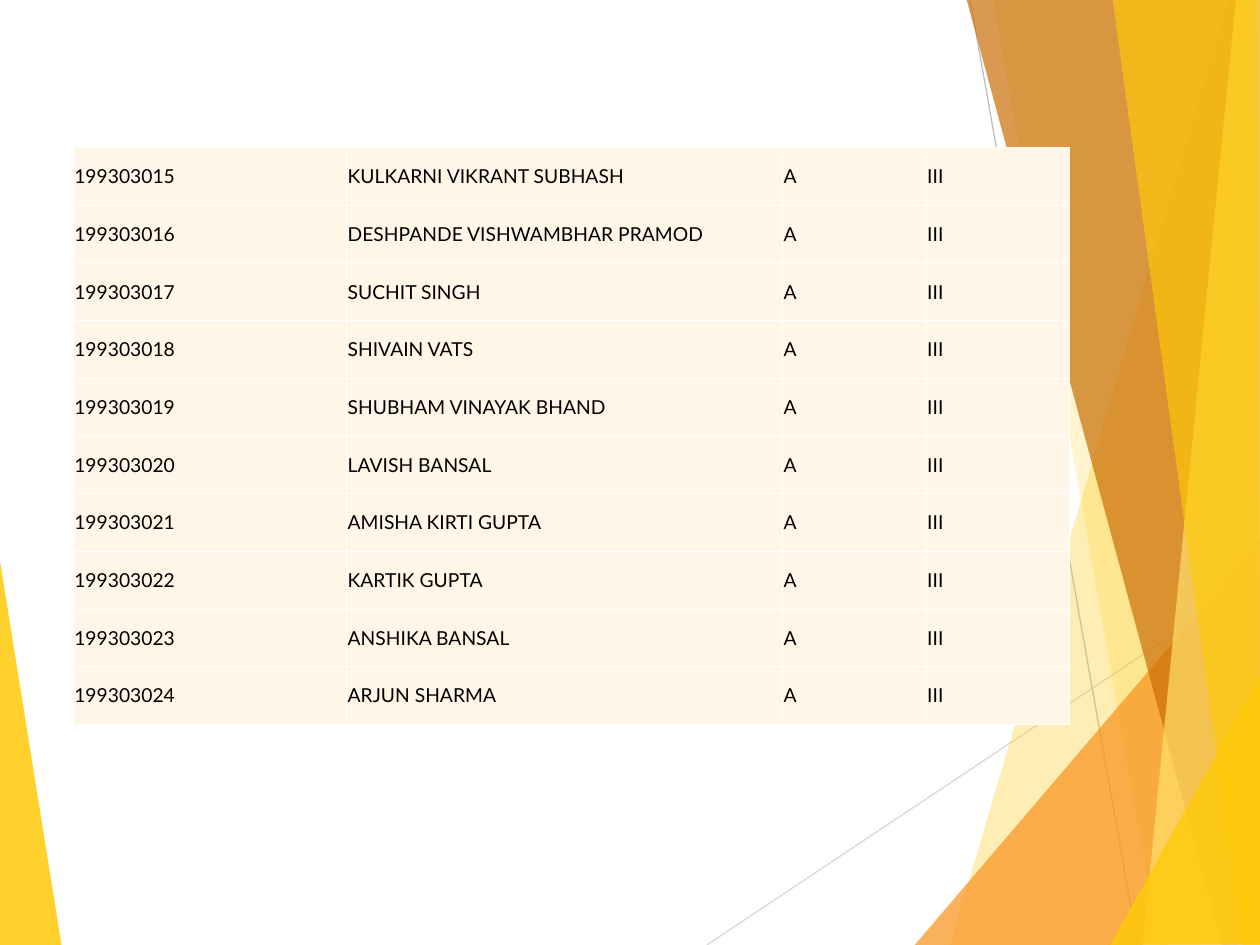
from lxml.etree import SubElement
from pptx import Presentation
from pptx.dml.color import RGBColor
from pptx.enum.shapes import MSO_CONNECTOR as CONNECTOR
from pptx.enum.text import MSO_ANCHOR as ANCHOR
from pptx.oxml.ns import qn
from pptx.util import Inches, Pt

GOLD = "FFCA08"
LEFT_SHARD = ([(-0.01, 4.39), (0.49, 7.51), (-0.01, 7.5)], GOLD, 85)
RAYS = [
    ((5.61, 7.5), (10.01, 4.57), "D9D9D9"),
    ((7.7, 0), (9.03, 7.5), "BFBFBF"),
]
RIGHT_SHARDS = [
    ([(9.75, 0), (7.54, 7.5), (10.02, 7.51), (10.01, 0.01)], GOLD, 30),
    ([(7.88, -0.01), (9.2, 7.5), (10.01, 7.5), (10.01, -0.01)], GOLD, 20),
    ([(7.26, 7.5), (10, 4.29), (10.01, 7.5)], "F8931D", 72),
    ([(7.67, -0.01), (9.7, 7.5), (10.01, 7.49), (10.01, -0.01)], "CA6F06", 70),
    ([(9.81, -0.01), (9.07, 7.5), (10.01, 7.5), (10, -0.01)], "FFDF6B", 70),
    ([(8.83, -0.01), (9.86, 7.5), (10, 7.5), (9.98, -0.01)], GOLD, 65),
    ([(8.81, 7.5), (10.01, 5.35), (10.01, 7.49)], GOLD, 80),
]
FIRST_ROLL_NUMBER = 199303015
STUDENTS = [
    "KULKARNI VIKRANT SUBHASH",
    "DESHPANDE VISHWAMBHAR PRAMOD",
    "SUCHIT SINGH",
    "SHIVAIN VATS",
    "SHUBHAM VINAYAK BHAND",
    "LAVISH BANSAL",
    "AMISHA KIRTI GUPTA",
    "KARTIK GUPTA",
    "ANSHIKA BANSAL",
    "ARJUN SHARMA",
]
DIVISION, YEAR = "A", "III"
COLUMN_WIDTHS = [2.17, 3.46, 1.14, 1.14]


def rgb(hex_color):
    """Turn a hex string into a colour."""
    return RGBColor.from_string(hex_color)


def add_shard(slide, corners, color, opacity):
    """Draw a translucent polygon without an outline."""
    start, *others = [(Inches(x), Inches(y)) for x, y in corners]
    builder = slide.shapes.build_freeform(*start)
    builder.add_line_segments(others, close=True)
    shard = builder.convert_to_shape()
    shard.shadow.inherit = False
    shard.line.fill.background()
    shard.fill.solid()
    shard.fill.fore_color.rgb = rgb(color)
    tint = shard.fill._xPr.find(qn("a:solidFill"))[0]
    SubElement(tint, qn("a:alpha"), val=str(opacity * 1000))


def add_ray(slide, start, end, color):
    """Draw a thin straight line."""
    ends = [Inches(value) for value in (*start, *end)]
    ray = slide.shapes.add_connector(CONNECTOR.STRAIGHT, *ends)
    ray.line.color.rgb = rgb(color)
    ray.line.width = Pt(0.75)
    SubElement(ray._element.spPr, qn("a:effectLst"))


def write(text_frame, text, font="Lato", size=11, color="000000"):
    """Put formatted text into a text frame."""
    run = text_frame.paragraphs[0].add_run()
    run.text = text
    run.font.name = font
    run.font.size = Pt(size)
    run.font.color.rgb = rgb(color)


def style_cell(cell, fill="FFF6E7", border="FFFFFF", width=0.45):
    """Set the margins, borders and fill of a cell."""
    cell.vertical_anchor = ANCHOR.MIDDLE
    cell.margin_left = cell.margin_right = Inches(0.01)
    cell.margin_top = cell.margin_bottom = Inches(0.05)
    properties = cell._tc.get_or_add_tcPr()
    for side in ("lnL", "lnR", "lnT", "lnB"):
        edge = SubElement(properties, qn(f"a:{side}"), w=str(Pt(width)))
        SubElement(SubElement(edge, qn("a:solidFill")), qn("a:srgbClr"), val=border)
    cell.fill.solid()
    cell.fill.fore_color.rgb = rgb(fill)


def add_roster(slide, students):
    """Add the table of students with consecutive roll numbers."""
    roster = slide.shapes.add_table(
        len(students), len(COLUMN_WIDTHS),
        Inches(0.58), Inches(1.17), Inches(sum(COLUMN_WIDTHS)), Inches(4.58),
    ).table
    roster.first_row = roster.horz_banding = False
    for column, width in zip(roster.columns, COLUMN_WIDTHS):
        column.width = Inches(width)
    for roll_number, (row, student) in enumerate(
        zip(roster.rows, students), FIRST_ROLL_NUMBER
    ):
        for cell, text in zip(row.cells, (str(roll_number), student, DIVISION, YEAR)):
            style_cell(cell)
            write(cell.text_frame, text)


def main():
    """Build the slide and save it."""
    deck = Presentation()
    deck.slide_width, deck.slide_height = Inches(10), Inches(7.5)
    slide = deck.slides.add_slide(deck.slide_layouts[6])
    add_shard(slide, *LEFT_SHARD)
    for ray in RAYS:
        add_ray(slide, *ray)
    for shard in RIGHT_SHARDS:
        add_shard(slide, *shard)
    add_roster(slide, STUDENTS)
    deck.save("out.pptx")


if __name__ == "__main__":
    main()
